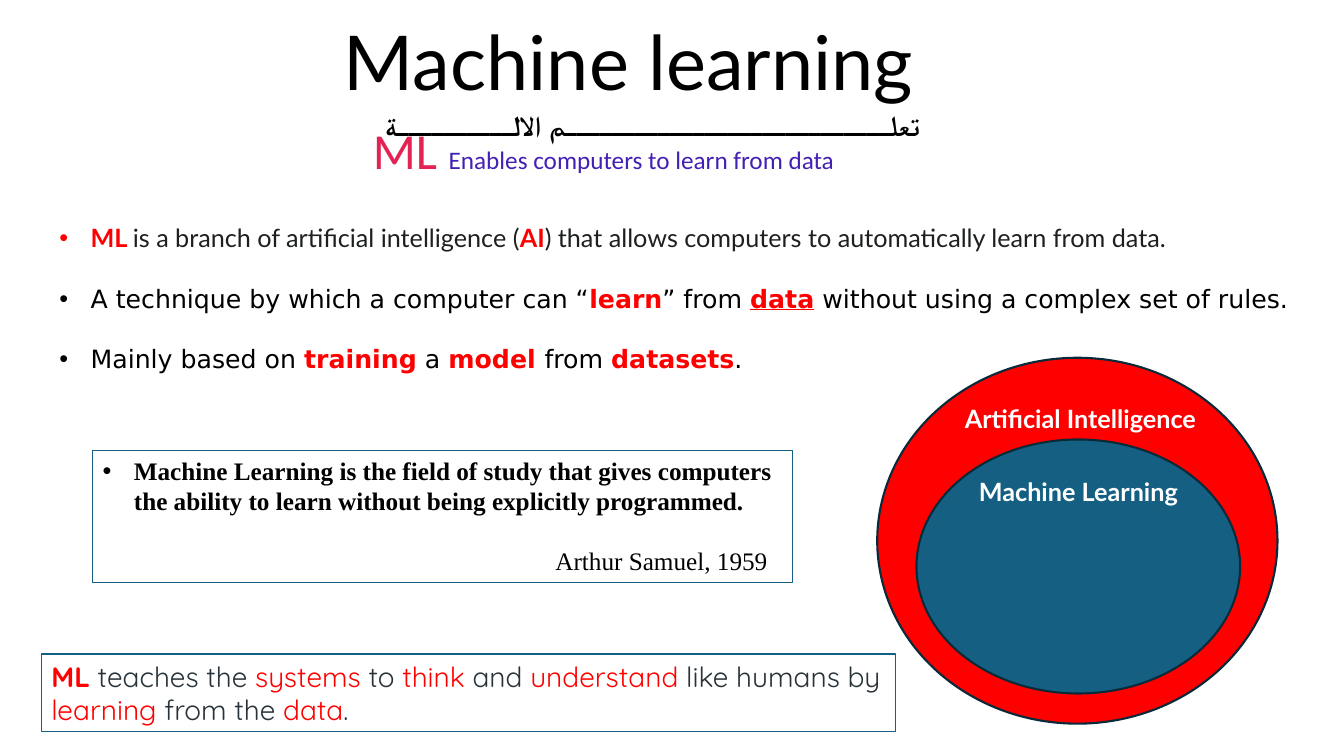
from dataclasses import dataclass

from lxml import etree
from pptx import Presentation
from pptx import util as u
from pptx.dml import color
from pptx.enum import shapes, text
from pptx.oxml import ns

WIDE, HIGH = u.Inches(13.33), u.Inches(7.5)
RED, BLACK, WHITE = "FF0000", "000000", "FFFFFF"
BLUE, NAVY, INK, SLATE = "156082", "092A39", "1D1F20", "273239"
LEFT, MID = text.PP_ALIGN.LEFT, text.PP_ALIGN.CENTER
TOP, LOW = text.MSO_ANCHOR.TOP, text.MSO_ANCHOR.BOTTOM
RECT, DISC = shapes.MSO_SHAPE.RECTANGLE, shapes.MSO_SHAPE.FLOWCHART_CONNECTOR
HANG = 0.31  # bullet indent, inches


@dataclass
class Run:
    words: str
    hue: str | None = None
    bold: bool | None = None
    line: bool | None = None
    size: float | None = None


@dataclass
class Para:
    runs: list[Run]
    face: str
    size: float = 18
    hue: str = BLACK
    bold: bool = False
    align: int = LEFT
    lead: float = 1.0
    gap: float = 0
    dot: bool = False
    indent: float = 0


@dataclass
class Box:
    """Left, top, width and height are percent of the slide."""
    left: float
    top: float
    width: float
    height: float
    paras: list[Para]
    anchor: int = TOP
    form: int | None = None
    fill: str | None = None
    edge: str = BLUE
    weight: float = 1


def rgb(code: str) -> color.RGBColor:
    return color.RGBColor.from_string(code)


def red(words: str, bold: bool = True, line: bool | None = None) -> Run:
    return Run(words, RED, bold, line)


def write(para, item: Para) -> None:
    para.alignment = item.align
    para.line_spacing = item.lead
    if item.gap:
        para.space_before = u.Pt(item.gap)
    props = para._p.get_or_add_pPr()
    if item.dot:
        props.set("marL", str(u.Inches(HANG)))
        props.set("indent", str(-u.Inches(HANG)))
        etree.SubElement(props, ns.qn("a:buFont")).set("typeface", "Arial")
        etree.SubElement(props, ns.qn("a:buChar")).set("char", "•")
    elif item.indent:
        props.set("marL", str(u.Inches(item.indent)))
    font = para.font
    font.name, font.size, font.bold = item.face, u.Pt(item.size), item.bold
    font.color.rgb = rgb(item.hue)
    for part in item.runs:
        run = para.add_run()
        run.text = part.words
        if part.hue:
            run.font.color.rgb = rgb(part.hue)
        if part.bold is not None:
            run.font.bold = part.bold
        if part.line:
            run.font.underline = True
        if part.size:
            run.font.size = u.Pt(part.size)


def draw(slide, box: Box) -> None:
    place = [round(share * full / 100) for share, full in
             zip((box.left, box.top, box.width, box.height), (WIDE, HIGH) * 2)]
    if box.form is None:
        shape = slide.shapes.add_textbox(*place)
    else:
        shape = slide.shapes.add_shape(box.form, *place)
        shape.shadow.inherit = False
        if box.fill:
            shape.fill.solid()
            shape.fill.fore_color.rgb = rgb(box.fill)
        else:
            shape.fill.background()
        shape.line.color.rgb = rgb(box.edge)
        shape.line.width = u.Pt(box.weight)
    frame = shape.text_frame
    frame.word_wrap = True
    frame.vertical_anchor = box.anchor
    for i, item in enumerate(box.paras):
        write(frame.add_paragraph() if i else frame.paragraphs[0], item)


def label(words: str) -> list[Para]:
    return [Para([Run(words)], "Lato", hue=WHITE, bold=True, align=MID)]


# Heading
HEAD = [
    Box(9.98, 1.6, 75.02, 13.2, [
        Para([Run("Machine learning ")], "Lato", 54, align=MID, lead=0.9)], LOW),
    Box(9.08, 14.8, 78.92, 4.67, [
        Para([Run("تعلــــــــــــــــــــــــــــم الالــــــــــة")],
             "Lato", 20.4, bold=True, align=MID, lead=0.7)]),
    Box(27.01, 15.07, 38.86, 9.47, [
        Para([Run("ML ", "E22353", size=36),
              Run("Enables computers to learn from data")],
             "Calibri", hue="4420B4")]),
]

# Main points
POINTS = [
    Box(3.68, 28.8, 94, 29.6, [
        Para([red("ML "), Run("is a branch of artificial intelligence ("),
              red("AI"),
              Run(") that allows computers to automatically learn from data.")],
             "Lato", hue=INK, dot=True),
        Para([Run("A technique by which a computer can “"), red("learn"),
              Run("” from "), red("data", line=True),
              Run(" without using a complex set of rules.")],
             "DejaVu Sans", gap=21.6, dot=True),
        Para([Run("Mainly based on "), red("training"), Run(" a "),
              red("model "), Run("from "), red("datasets"), Run(".")],
             "DejaVu Sans", gap=21.6, dot=True)]),
]

# Nested circles
RINGS = [
    Box(65.27, 47.33, 29.78, 48.4, [], form=DISC, fill=RED, edge=NAVY, weight=1.5),
    Box(69.92, 52.67, 20.93, 5.33, label("Artificial Intelligence")),
    Box(68.19, 58.13, 24.08, 33.6, [], form=DISC, fill=BLUE, edge=NAVY, weight=1.5),
    Box(69.77, 62.4, 20.93, 5.33, label("Machine Learning")),
]

# Framed quote and summary
FRAMES = [
    Box(6.9, 59.6, 52.06, 17.47, [
        Para([Run("Machine Learning is the field of study that gives computers "
                  "the ability to learn without being explicitly programmed.")],
             "Times New Roman", bold=True, dot=True),
        Para([Run("Arthur Samuel, 1959")], "Times New Roman",
             gap=21, indent=4.49)], form=RECT, weight=0.75),
    Box(3.08, 86.53, 63.54, 10.27, [
        Para([red("ML"), Run(" teaches the "), red("systems", False),
              Run(" to "), red("think", False), Run(" and "),
              red("understand", False), Run(" like humans by "),
              red("learning", False), Run(" from the "), red("data", False),
              Run(".")], "Quicksand", 20, SLATE)], form=RECT),
]


def main() -> None:
    deck = Presentation()
    deck.slide_width, deck.slide_height = WIDE, HIGH
    slide = deck.slides.add_slide(deck.slide_layouts[6])
    for box in HEAD + POINTS + RINGS + FRAMES:
        draw(slide, box)
    deck.save("out.pptx")


if __name__ == "__main__":
    main()
